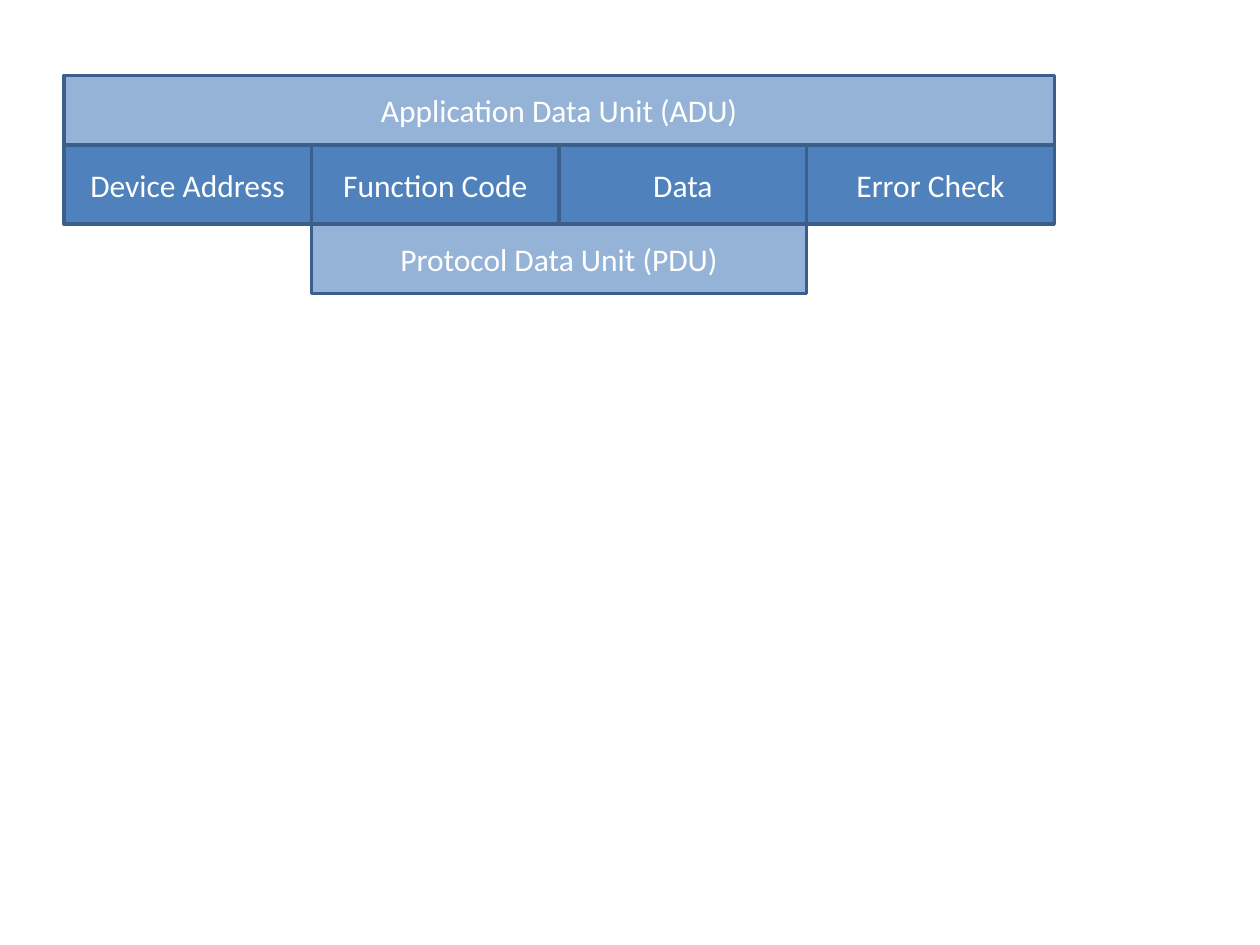
from pptx import Presentation
from pptx.dml.color import RGBColor
from pptx.enum.shapes import MSO_SHAPE
from pptx.enum.text import MSO_ANCHOR, PP_ALIGN
from pptx.util import Pt

RECT = MSO_SHAPE.RECTANGLE
MIDDLE = MSO_ANCHOR.MIDDLE
CENTER = PP_ALIGN.CENTER

BLUE = RGBColor(0x4F, 0x81, 0xBD)
PALE = RGBColor(0x95, 0xB3, 0xD7)
EDGE = RGBColor(0x3A, 0x5F, 0x8C)
WHITE = RGBColor(0xFF, 0xFF, 0xFF)

# Each row: height, fill, cells of (text, first column, columns spanned)
FIELDS = ["Device Address", "Function Code", "Data", "Error Check"]
ADU = (39.6, PALE, [("Application Data Unit (ADU)", 0, 4)])
FRAME = (45.2, BLUE, [(text, col, 1) for col, text in enumerate(FIELDS)])
PDU = (39.6, PALE, [("Protocol Data Unit (PDU)", 1, 2)])

LEFT, TOP, COL = 36.5, 43.2, 141.5


def add_box(slide, text, left, top, width, height, fill):
    """Draw one outlined box with a centred label."""
    box = slide.shapes.add_shape(RECT, Pt(left), Pt(top), Pt(width), Pt(height))
    box.shadow.inherit = False
    box.fill.solid()
    box.fill.fore_color.rgb = fill
    box.line.color.rgb = EDGE
    box.line.width = Pt(2)
    frame = box.text_frame
    frame.text = text
    frame.vertical_anchor = MIDDLE
    label = frame.paragraphs[0]
    label.alignment = CENTER
    font = label.runs[0].font
    font.name = "Calibri"
    font.size = Pt(18)
    font.color.rgb = WHITE


def main():
    """Build the slide from stacked rows and save it."""
    deck = Presentation()
    deck.slide_width, deck.slide_height = Pt(720), Pt(540)
    slide = deck.slides.add_slide(deck.slide_layouts[6])

    top = TOP
    for height, fill, cells in (ADU, FRAME, PDU):
        for text, col, span in cells:
            add_box(slide, text, LEFT + col * COL, top, span * COL, height, fill)
        top += height

    deck.save("out.pptx")


main()
